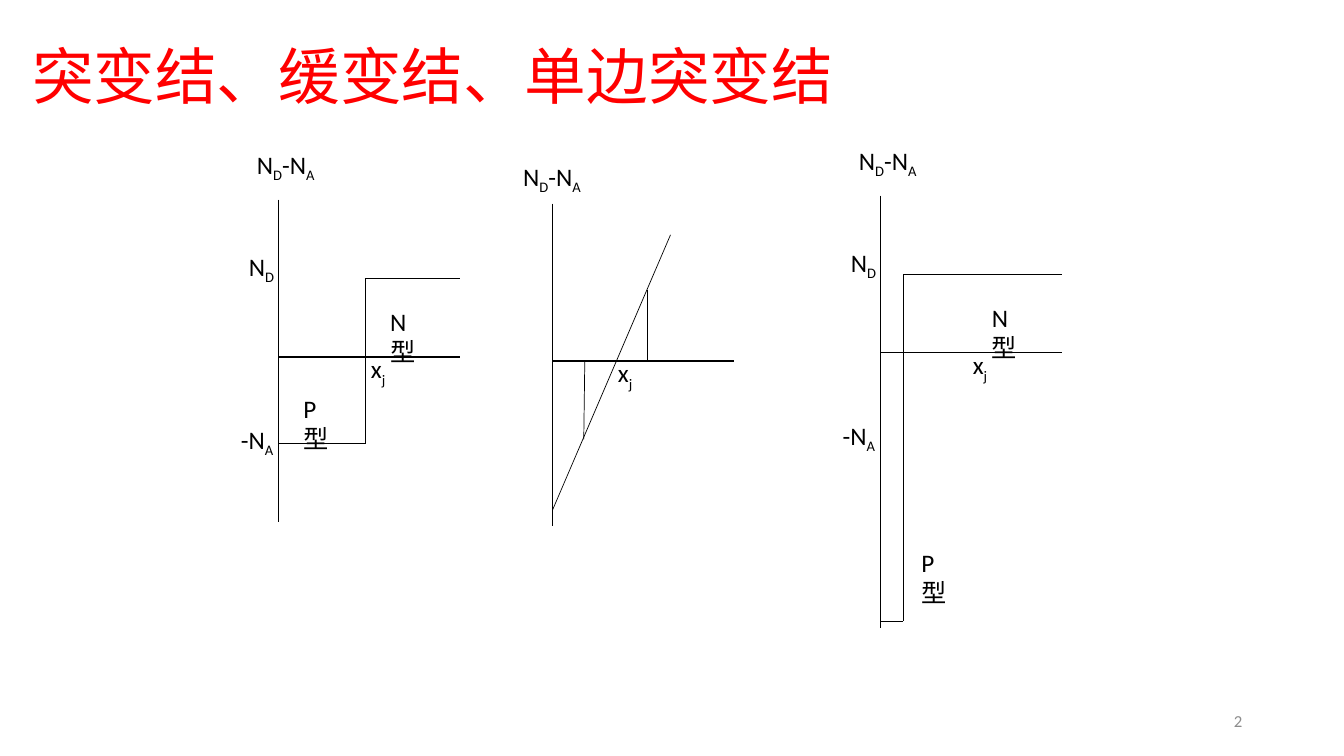
from lxml import etree
from pptx import Presentation
from pptx.dml.color import RGBColor
from pptx.enum.shapes import MSO_CONNECTOR
from pptx.enum.text import MSO_ANCHOR, PP_ALIGN
from pptx.oxml.ns import qn
from pptx.util import Inches, Pt

RED = RGBColor(0xFF, 0x00, 0x00)
BLACK = RGBColor(0x00, 0x00, 0x00)
GRAY = RGBColor(0x8C, 0x8C, 0x8C)
STRAIGHT = MSO_CONNECTOR.STRAIGHT
MIDDLE = MSO_ANCHOR.MIDDLE
TOP = MSO_ANCHOR.TOP
LEFT = PP_ALIGN.LEFT
RIGHT = PP_ALIGN.RIGHT
LATIN_FONT = "Calibri"
CHINESE_FONT = "Noto Sans CJK SC"

AXIS_WIDTH = 1.8
AXIS_TOP = -1.56
STEP_TOP = -0.78


def add_text(shapes, box, parts, size=18, color=BLACK, font=LATIN_FONT,
             wrap=False, anchor=TOP, align=LEFT):
    shape = shapes.add_textbox(*(Inches(length) for length in box))
    frame = shape.text_frame
    frame.word_wrap = wrap
    frame.vertical_anchor = anchor
    paragraph = frame.paragraphs[0]
    paragraph.alignment = align
    paragraph.font.name = font
    paragraph.font.size = Pt(size)
    paragraph.font.color.rgb = color
    for index, text in enumerate(parts):
        run = paragraph.add_run()
        run.text = text
        properties = run._r.get_or_add_rPr()
        if index % 2:
            properties.set("baseline", "-25000")
        east_asian = etree.SubElement(properties, qn("a:ea"))
        east_asian.set("typeface", CHINESE_FONT)
    return paragraph


def add_line(shapes, origin, start, end, width=0.5):
    left, top = origin
    line = shapes.add_connector(
        STRAIGHT,
        Inches(left + start[0]), Inches(top + start[1]),
        Inches(left + end[0]), Inches(top + end[1]))
    line.line.color.rgb = BLACK
    line.line.width = Pt(width)
    etree.SubElement(line._element.spPr, qn("a:effectLst"))


def add_label(shapes, origin, offset, width, *parts, wrap=False):
    box = (origin[0] + offset[0], origin[1] + offset[1], width, 0.4)
    add_text(shapes, box, parts, wrap=wrap)


def add_axes(shapes, origin, bottom, title_offset, junction_label_x):
    add_line(shapes, origin, (0, 0), (AXIS_WIDTH, 0), width=1)
    add_line(shapes, origin, (0, AXIS_TOP), (0, bottom))
    add_label(shapes, origin, title_offset, 0.81, "N", "D", "-N", "A")
    add_label(shapes, origin, (junction_label_x, -0.08), 0.35, "x", "j")


def add_step_diagram(slide, origin, bottom, junction, depth, p_offset):
    shapes = slide.shapes.add_group_shape().shapes
    add_axes(shapes, origin, bottom, (-0.31, -2.11), 0.82)
    corners = [(0, depth), (junction, depth),
               (junction, STEP_TOP), (AXIS_WIDTH, STEP_TOP)]
    for start, end in zip(corners, corners[1:]):
        add_line(shapes, origin, start, end)
    add_label(shapes, origin, (-0.39, -1.1), 0.47, "N", "D")
    add_label(shapes, origin, (-0.47, 0.62), 0.54, "-N", "A")
    add_label(shapes, origin, p_offset, 0.55, "P型", wrap=True)
    add_label(shapes, origin, (1.01, -0.55), 0.55, "N型", wrap=True)


def add_graded_diagram(slide, origin):
    shapes = slide.shapes.add_group_shape().shapes
    add_axes(shapes, origin, 1.64, (-0.39, -2.03), 0.55)
    add_line(shapes, origin, (0, 1.48), (1.17, -1.25))
    add_line(shapes, origin, (0.32, 0), (0.31, 0.78))
    add_line(shapes, origin, (0.94, -0.7), (0.94, 0))


def main():
    presentation = Presentation()
    presentation.slide_width = Inches(13.33)
    presentation.slide_height = Inches(7.5)
    slide = presentation.slides.add_slide(presentation.slide_layouts[6])

    title = add_text(slide.shapes, (0.22, 0.16, 9, 1.25),
                     ["突变结、缓变结、单边突变结"], size=44, color=RED,
                     font=CHINESE_FONT, wrap=True, anchor=MIDDLE)
    title.line_spacing = 0.9
    add_step_diagram(slide, (2.76, 3.54), bottom=1.64, junction=0.86,
                     depth=0.86, p_offset=(0.15, 0.31))
    add_step_diagram(slide, (8.73, 3.5), bottom=2.73, junction=0.23,
                     depth=2.66, p_offset=(0.31, 1.88))
    add_graded_diagram(slide, (5.48, 3.58))
    add_text(slide.shapes, (9.42, 6.95, 3, 0.4), ["2"], size=12, color=GRAY,
             wrap=True, anchor=MIDDLE, align=RIGHT)

    presentation.save("out.pptx")


if __name__ == "__main__":
    main()
